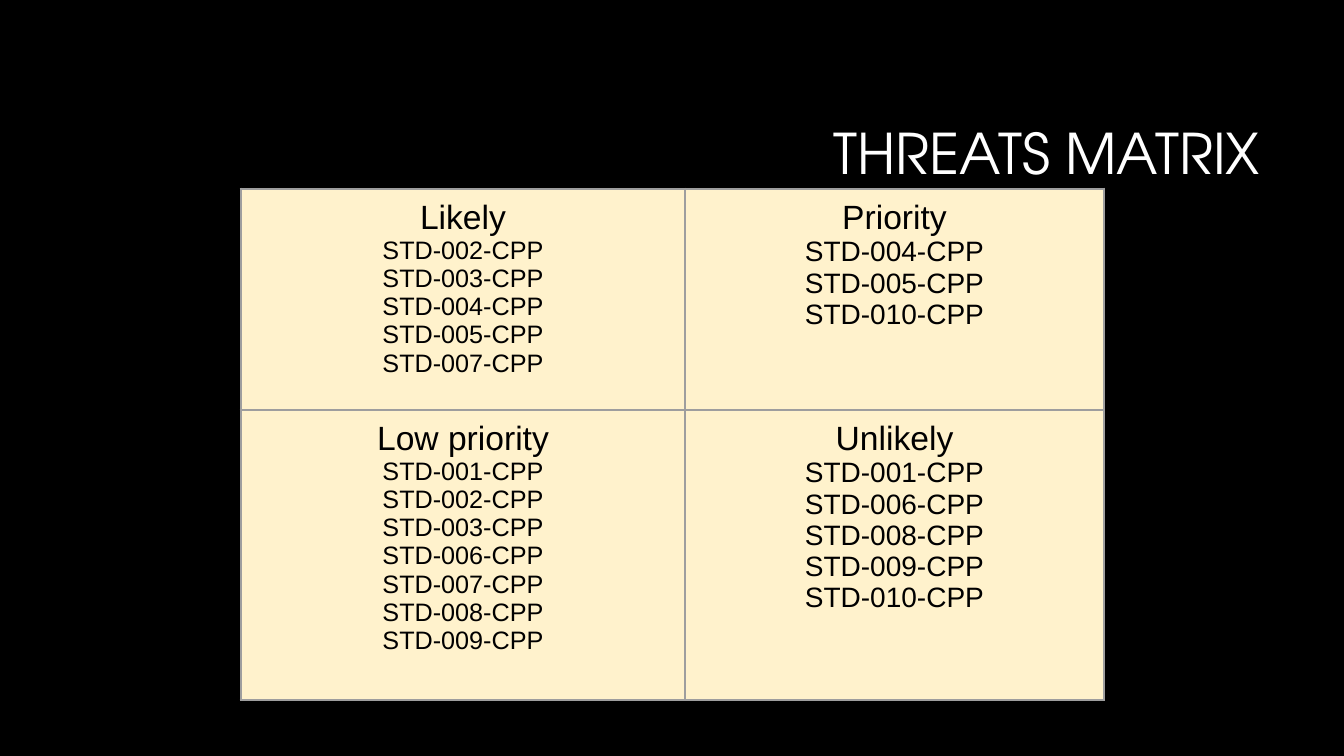
import pptx
import pptx.dml.color
import pptx.enum.text
import pptx.oxml
import pptx.oxml.ns
import pptx.util

COLORS = {"background": "000000", "title": "FFFFFF", "text": "000000",
          "cell": "FFF2CC", "border": "9E9E9E"}
ALIGN = pptx.enum.text.PP_ALIGN

# Each quadrant: heading, size of the list, numbers of the coding standards
QUADRANTS = [
    [("Likely", 18, (2, 3, 4, 5, 7)), ("Priority", 20, (4, 5, 10))],
    [("Low priority", 18, (1, 2, 3, 6, 7, 8, 9)), ("Unlikely", 20, (1, 6, 8, 9, 10))],
]


class MatrixSlide:
    title_font = "TeX Gyre Adventor"
    body_font = "Arial"
    heading_size = 24
    border_width = 2.25

    def __init__(self, deck):
        self.slide = deck.slides.add_slide(deck.slide_layouts[6])
        self.paint(self.slide.background.fill, "background")

    @staticmethod
    def px(length):
        return pptx.util.Emu(round(length * 914400 / 100.8))

    @staticmethod
    def paint(fill, color):
        fill.solid()
        fill.fore_color.rgb = pptx.dml.color.RGBColor.from_string(COLORS[color])

    def text_line(self, paragraph, text, font, size, color, align):
        paragraph.text = text
        paragraph.alignment = align
        paragraph.font.name = font
        paragraph.font.size = pptx.util.Pt(size)
        self.paint(paragraph.font.fill, color)

    def title(self, text, left, top, width, height):
        frame = self.slide.shapes.add_textbox(
            *map(self.px, (left, top, width, height))).text_frame
        frame.word_wrap = True
        frame.vertical_anchor = pptx.enum.text.MSO_ANCHOR.MIDDLE
        heading = frame.paragraphs[0]
        self.text_line(heading, text, self.title_font, 40, "title", ALIGN.RIGHT)
        heading.line_spacing = 0.9

    def matrix(self, quadrants, left, top, widths, heights):
        box = (left, top, sum(widths), sum(heights))
        table = self.slide.shapes.add_table(
            len(heights), len(widths), *map(self.px, box)).table
        for column, width in zip(table.columns, widths):
            column.width = self.px(width)
        for row, height, contents in zip(table.rows, heights, quadrants):
            row.height = self.px(height)
            for cell, content in zip(row.cells, contents):
                self.quadrant(cell, *content)

    def quadrant(self, cell, heading, list_size, standards):
        cell.margin_left = cell.margin_right = self.px(10)
        cell.margin_top = cell.margin_bottom = self.px(10)
        self.borders(cell)
        self.paint(cell.fill, "cell")
        frame = cell.text_frame
        self.text_line(frame.paragraphs[0], heading, self.body_font,
                       self.heading_size, "text", ALIGN.CENTER)
        for number in standards:
            self.text_line(frame.add_paragraph(), f"STD-{number:03}-CPP",
                           self.body_font, list_size, "text", ALIGN.CENTER)

    def borders(self, cell):
        properties = cell._tc.get_or_add_tcPr()
        for side in "LRTB":
            properties.append(pptx.oxml.parse_xml(
                f'<a:ln{side} {pptx.oxml.ns.nsdecls("a")} '
                f'w="{pptx.util.Pt(self.border_width)}"><a:solidFill>'
                f'<a:srgbClr val="{COLORS["border"]}"/></a:solidFill></a:ln{side}>'))


def main():
    deck = pptx.Presentation()
    deck.slide_width = MatrixSlide.px(1344)
    deck.slide_height = MatrixSlide.px(756)
    threats = MatrixSlide(deck)

    # Title
    threats.title("THREATS MATRIX", 320, 85, 950, 142)

    # Likelihood and priority quadrants
    threats.matrix(QUADRANTS, 241, 189, widths=(444, 419), heights=(221, 290))

    deck.save("out.pptx")


if __name__ == "__main__":
    main()
